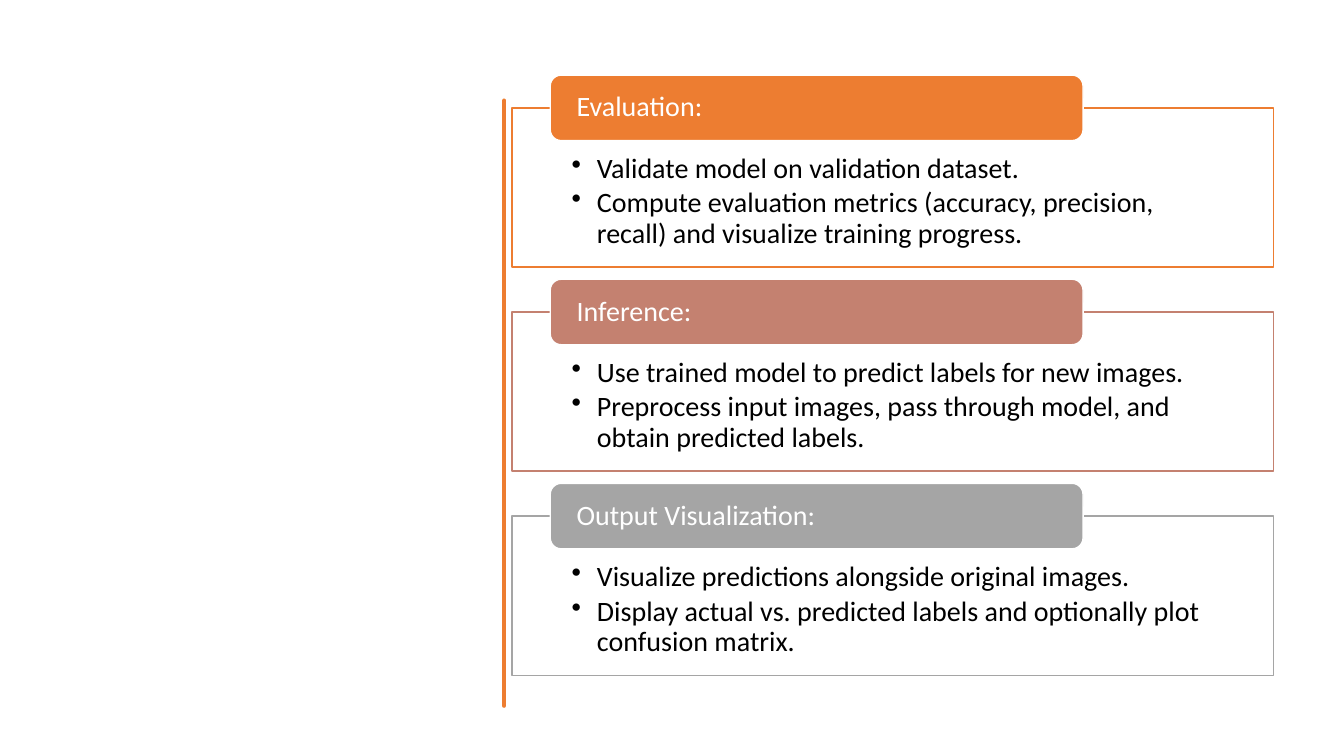
import pptx
import pptx.util
import pptx.dml.color
import pptx.enum.shapes
import pptx.enum.text
import pptx.oxml.ns
import lxml.etree

SECTIONS = [
    ("Evaluation:", "ED7D31", [
        "Validate model on validation dataset.",
        "Compute evaluation metrics (accuracy, precision, recall) and visualize training progress.",
    ]),
    ("Inference:", "C48170", [
        "Use trained model to predict labels for new images.",
        "Preprocess input images, pass through model, and obtain predicted labels.",
    ]),
    ("Output Visualization:", "A5A5A5", [
        "Visualize predictions alongside original images.",
        "Display actual vs. predicted labels and optionally plot confusion matrix.",
    ]),
]
SLIDE_WIDTH, SLIDE_HEIGHT = 13.33, 7.5
PANEL_LEFT, PANEL_TOP, PANEL_WIDTH, PANEL_HEIGHT = 5.08, 1.07, 7.55, 1.58
ROW_PITCH = 2.025
HEADER_WIDTH, HEADER_HEIGHT = PANEL_WIDTH * 0.7, 0.65
HEADER_LEFT = PANEL_LEFT + PANEL_WIDTH * 0.05
HEADER_RISE = HEADER_HEIGHT / 2
BULLET_INDENT = 0.25

BRUSH_COLOR = "ED7D31"
BRUSH_LEFT, BRUSH_TOP, BRUSH_STEP = 4.7, 0.84, 0.37
BRUSH_RIGHT_EDGE = [5, 7, 4, 5, 5, 4, 5, 6, 6, 7, 4, 5, 7, 6, 5, 5, 5]
BRUSH_LEFT_EDGE = [3, 4, 2, 3, 3, 2, 2, 3, 2, 3, 1, 3, 3, 2, 3, 2, 3]


def color(value):
    return pptx.dml.color.RGBColor.from_string(value)


def style(shape, fill, line, width):
    shape.shadow.inherit = False
    shape.fill.solid()
    shape.fill.fore_color.rgb = color(fill)
    shape.line.color.rgb = color(line)
    shape.line.width = pptx.util.Pt(width)


def add_bullet(paragraph):
    paragraph.level = 1
    properties = paragraph._p.get_or_add_pPr()
    indent = pptx.util.Inches(BULLET_INDENT)
    properties.set("marL", str(indent))
    properties.set("indent", str(-indent))
    bullet = lxml.etree.SubElement(properties, pptx.oxml.ns.qn("a:buChar"))
    bullet.set("char", "•")


def write(shape, lines, text_color, margins, anchor, space_after, bulleted):
    frame = shape.text_frame
    frame.word_wrap = True
    frame.vertical_anchor = anchor
    (frame.margin_left, frame.margin_top,
     frame.margin_right, frame.margin_bottom) = map(pptx.util.Inches, margins)
    for index, line in enumerate(lines):
        paragraph = frame.add_paragraph() if index else frame.paragraphs[0]
        paragraph.text = line
        if bulleted:
            add_bullet(paragraph)
        paragraph.alignment = pptx.enum.text.PP_ALIGN.LEFT
        paragraph.line_spacing = 0.9
        paragraph.space_after = pptx.util.Pt(space_after)
        paragraph.font.size = pptx.util.Pt(20)
        paragraph.font.name = "Calibri"
        paragraph.font.color.rgb = color(text_color)


def add_box(slide, kind, *bounds):
    return slide.shapes.add_shape(kind, *map(pptx.util.Inches, bounds))


def add_brush_stroke(slide):
    def edge(offsets):
        return [(BRUSH_LEFT + offset / 100, BRUSH_TOP + BRUSH_STEP * step)
                for step, offset in enumerate(offsets)]

    outline = edge(BRUSH_RIGHT_EDGE) + edge(BRUSH_LEFT_EDGE)[::-1]
    builder = slide.shapes.build_freeform(*outline[0], scale=pptx.util.Inches(1))
    builder.add_line_segments(outline[1:], close=True)
    style(builder.convert_to_shape(), BRUSH_COLOR, BRUSH_COLOR, 3.25)


def add_section(slide, row, heading, accent, bullets):
    shapes = pptx.enum.shapes.MSO_SHAPE
    anchors = pptx.enum.text.MSO_ANCHOR
    top = PANEL_TOP + ROW_PITCH * row
    panel = add_box(slide, shapes.RECTANGLE, PANEL_LEFT, top, PANEL_WIDTH, PANEL_HEIGHT)
    style(panel, "FFFFFF", accent, 1)
    write(panel, bullets, "000000", (0.59, 0.46, 0.59, 0.16), anchors.TOP, 3, True)
    header = add_box(slide, shapes.ROUNDED_RECTANGLE, HEADER_LEFT, top - HEADER_RISE,
                     HEADER_WIDTH, HEADER_HEIGHT)
    style(header, accent, "FFFFFF", 1)
    write(header, [heading], "FFFFFF", (0.23, 0, 0.23, 0), anchors.MIDDLE, 0, False)


def main():
    presentation = pptx.Presentation()
    presentation.slide_width = pptx.util.Inches(SLIDE_WIDTH)
    presentation.slide_height = pptx.util.Inches(SLIDE_HEIGHT)
    slide = presentation.slides.add_slide(presentation.slide_layouts[6])
    add_brush_stroke(slide)
    for row, section in enumerate(SECTIONS):
        add_section(slide, row, *section)
    presentation.save("out.pptx")


if __name__ == "__main__":
    main()
